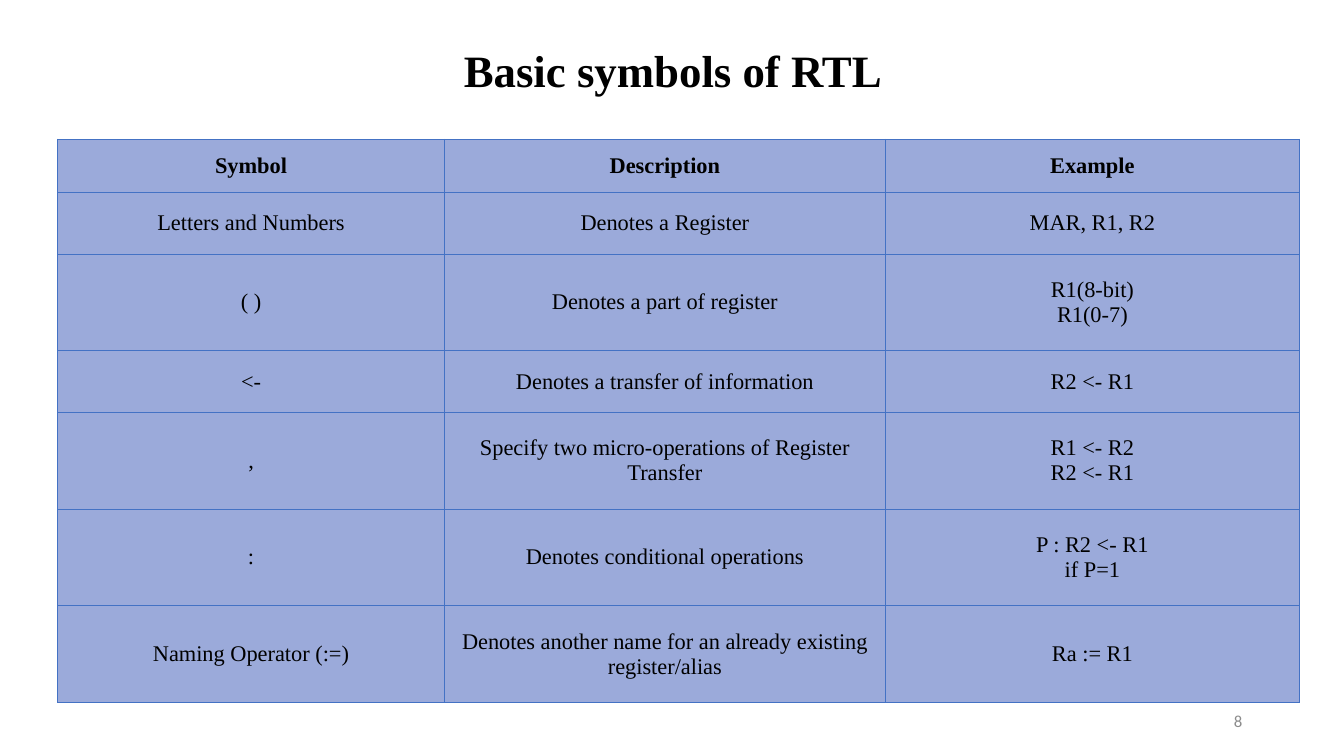
import pptx
import pptx.dml.color
import pptx.enum.text
import pptx.oxml.ns
import pptx.util
from lxml import etree
from pptx.util import Inches

THEME = {
    "serif": "Times New Roman",
    "sans": "Calibri",
    "ink": "000000",
    "muted": "8C8C8C",
    "cell": "9BAADA",
    "border": "4472C4",
    "title_size": 32,
    "table_size": 16,
    "number_size": 12,
}
ALIGN = pptx.enum.text.PP_ALIGN
MIDDLE = pptx.enum.text.MSO_ANCHOR.MIDDLE


def style_text(frame, face, size, color, bold=False, align=ALIGN.CENTER):
    for paragraph in frame.paragraphs:
        paragraph.alignment = align
        for run in paragraph.runs:
            font_values = {"name": face, "size": pptx.util.Pt(size), "bold": bold}
            for attribute, value in font_values.items():
                setattr(run.font, attribute, value)
            run.font.color.rgb = pptx.dml.color.RGBColor.from_string(color)


def add_borders(cell, color, width):
    properties = cell._tc.get_or_add_tcPr()
    for side in ("a:lnL", "a:lnR", "a:lnT", "a:lnB"):
        line = etree.SubElement(properties, pptx.oxml.ns.qn(side), w=str(pptx.util.Pt(width)))
        fill = etree.SubElement(line, pptx.oxml.ns.qn("a:solidFill"))
        etree.SubElement(fill, pptx.oxml.ns.qn("a:srgbClr"), val=color)


deck = pptx.Presentation()
deck.slide_width = Inches(13.33)
deck.slide_height = Inches(7.5)
slide = deck.slides.add_slide(deck.slide_layouts[5])

heading = slide.shapes.title
heading_box = {"left": 0.44, "top": 0.27, "width": 12.47, "height": 6.77}
for attribute, value in heading_box.items():
    setattr(heading, attribute, Inches(value))
heading.text_frame.text = "Basic symbols of RTL"
heading.text_frame.vertical_anchor = pptx.enum.text.MSO_ANCHOR.TOP
heading.text_frame.paragraphs[0].line_spacing = 1.2
heading.text_frame.paragraphs[0].space_before = pptx.util.Pt(10)
style_text(heading.text_frame, THEME["serif"], THEME["title_size"], THEME["ink"], bold=True)

page_number = slide.shapes.add_textbox(Inches(9.42), Inches(6.95), Inches(3), Inches(0.4))
page_number.text_frame.word_wrap = True
page_number.text_frame.text = "8"
page_number.text_frame.vertical_anchor = MIDDLE
style_text(page_number.text_frame, THEME["sans"], THEME["number_size"], THEME["muted"], align=ALIGN.RIGHT)

symbol_rows = [
    ("Symbol", "Description", "Example"),
    ("Letters and Numbers", "Denotes a Register", "MAR, R1, R2"),
    ("( )", "Denotes a part of register", "R1(8-bit)\nR1(0-7)"),
    ("<-", "Denotes a transfer of information", "R2 <- R1"),
    (",", "Specify two micro-operations of Register Transfer", "R1 <- R2\nR2 <- R1"),
    (":", "Denotes conditional operations", "P : R2 <- R1\nif P=1"),
    ("Naming Operator (:=)", "Denotes another name for an already existing register/alias", "Ra := R1"),
]
column_widths = [3.84, 4.37, 4.11]
row_heights = [0.53, 0.61, 0.96, 0.61, 0.96, 0.96, 0.96]

symbols = slide.shapes.add_table(
    len(symbol_rows), len(column_widths), Inches(0.57), Inches(1.38), Inches(12.32), Inches(5.57)
).table
for column, width in zip(symbols.columns, column_widths):
    column.width = Inches(width)

for row_index, (height, entries) in enumerate(zip(row_heights, symbol_rows)):
    symbols.rows[row_index].height = Inches(height)
    is_header = row_index == 0
    vertical_margin = Inches(0.07 if is_header else 0.1)
    cell_format = {
        "margin_left": Inches(0.07),
        "margin_right": Inches(0.07),
        "margin_top": vertical_margin,
        "margin_bottom": vertical_margin,
        "vertical_anchor": MIDDLE,
    }
    for column_index, entry in enumerate(entries):
        cell = symbols.cell(row_index, column_index)
        cell.text = entry
        for attribute, value in cell_format.items():
            setattr(cell, attribute, value)
        add_borders(cell, THEME["border"], 0.5)
        cell.fill.solid()
        cell.fill.fore_color.rgb = pptx.dml.color.RGBColor.from_string(THEME["cell"])
        style_text(cell.text_frame, THEME["serif"], THEME["table_size"], THEME["ink"], bold=is_header)

deck.save("out.pptx")
